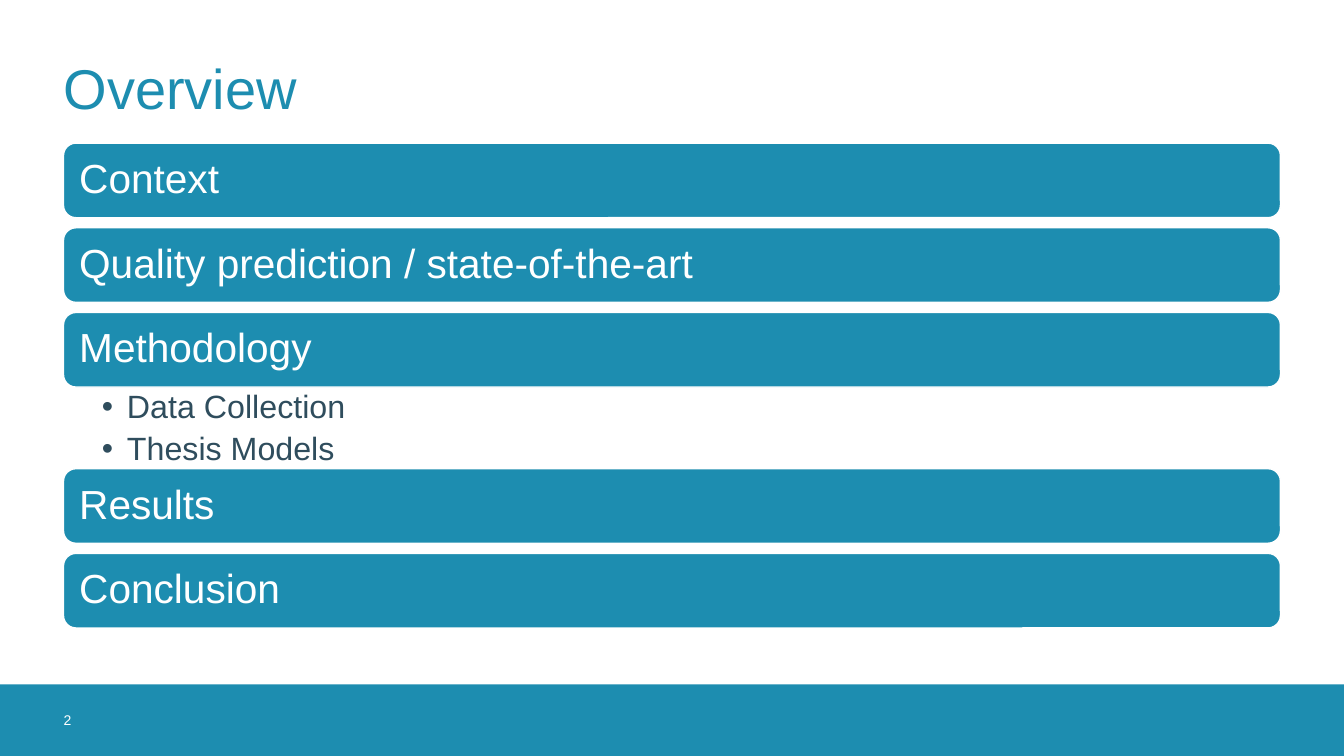
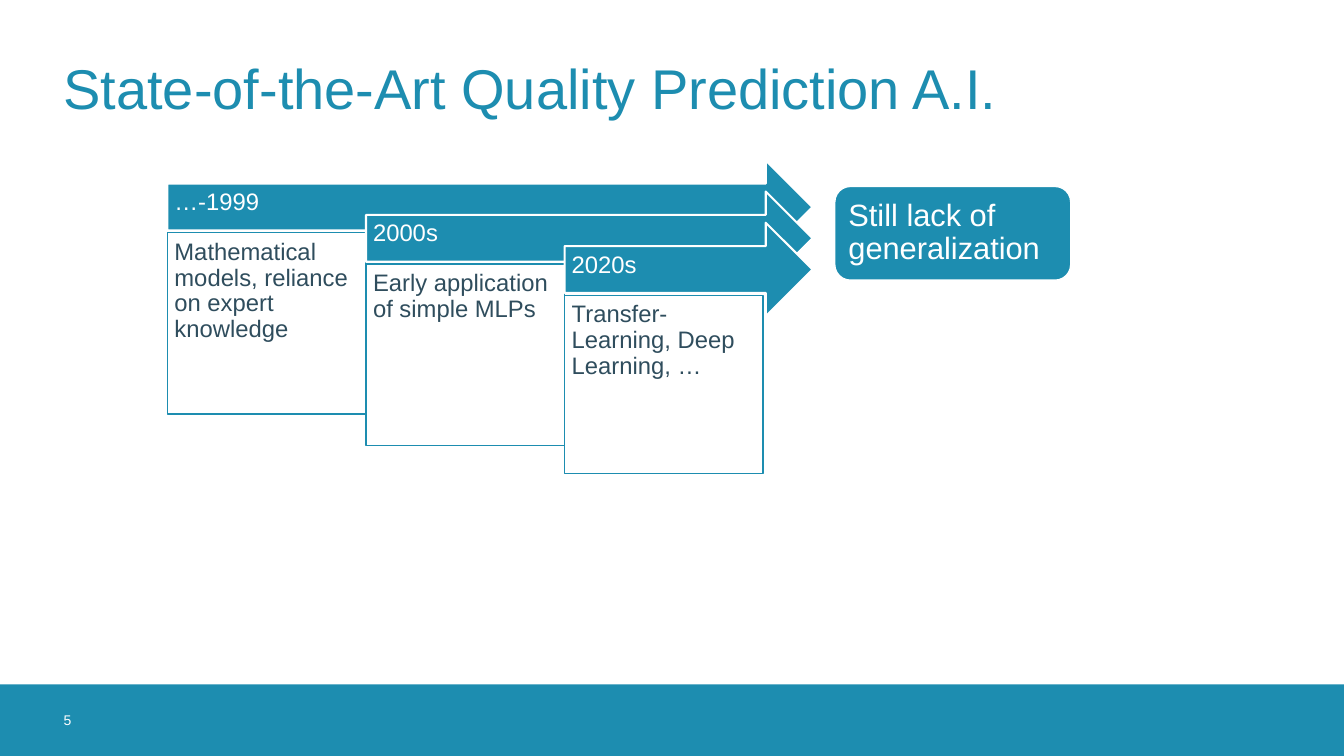
from dataclasses import dataclass

import pptx
import pptx.dml.color
import pptx.enum.shapes
import pptx.enum.text
import pptx.oxml
import pptx.oxml.ns
import pptx.presentation
import pptx.shapes.autoshape
import pptx.slide
import pptx.util
from pptx.dml.color import RGBColor
from pptx.enum.shapes import MSO_SHAPE
from pptx.enum.text import MSO_ANCHOR
from pptx.util import Inches

TEAL = RGBColor(0x1D, 0x8D, 0xB0)
SLATE = RGBColor(0x2F, 0x4D, 0x5D)
WHITE = RGBColor(0xFF, 0xFF, 0xFF)
FONT = "Arial"

SLIDE_WIDTH, SLIDE_HEIGHT = 13.33, 7.5
MARGIN = 0.63
CONTENT_WIDTH = 12.07
BAND_TOP, BAND_HEIGHT = 6.79, 0.71


@dataclass(frozen=True)
class Box:
    """A rectangle in inches."""

    left: float
    top: float
    width: float
    height: float

    def lengths(self) -> list[pptx.util.Length]:
        return [Inches(value) for value in (self.left, self.top, self.width, self.height)]


@dataclass(frozen=True)
class TextStyle:
    """Text look; insets are left, top, right, bottom in inches."""

    size: float
    color: RGBColor
    insets: tuple[float, float, float, float] = (0, 0, 0, 0)
    anchor: MSO_ANCHOR = MSO_ANCHOR.MIDDLE
    line_spacing: float = 0.9
    space_after: float = 0
    bulleted: bool = False


@dataclass(frozen=True)
class Topic:
    title: str
    details: tuple[str, ...] = ()


@dataclass(frozen=True)
class Era:
    period: str
    approach: str
    box_height: float = 1.8


TITLE = TextStyle(40, TEAL, line_spacing=1)
PAGE_NUMBER = TextStyle(10, WHITE, line_spacing=1)
TOPIC = TextStyle(29, WHITE, (0.12,) * 4)
TOPIC_DETAIL = TextStyle(23, SLATE, (0.38, 0.04, 0.23, 0.04), MSO_ANCHOR.TOP,
                         space_after=5, bulleted=True)
PERIOD = TextStyle(17, WHITE, (0.07, 0.07, 0.04, 0.15))
APPROACH = TextStyle(17, SLATE, (0.07,) * 4, MSO_ANCHOR.TOP)
CALLOUT = TextStyle(22, WHITE, (0.09,) * 4)

TOPICS = (
    Topic("Context"),
    Topic("Quality prediction / state-of-the-art"),
    Topic("Methodology", ("Data Collection", "Thesis Models")),
    Topic("Results"),
    Topic("Conclusion"),
)
ERAS = (
    Era("…-1999", "Mathematical models, reliance on expert knowledge"),
    Era("2000s", "Early application of simple MLPs"),
    Era("2020s", "Transfer-Learning, Deep Learning, …", 1.77),
)


def add_bullet(paragraph) -> None:
    properties = paragraph._p.get_or_add_pPr()
    properties.set("marL", str(Inches(0.25)))
    properties.set("indent", str(Inches(-0.25)))
    namespace = pptx.oxml.ns.nsdecls("a")
    properties.append(pptx.oxml.parse_xml(f'<a:buFont {namespace} typeface="{FONT}"/>'))
    properties.append(pptx.oxml.parse_xml(f'<a:buChar {namespace} char="•"/>'))


def write_text(shape: pptx.shapes.autoshape.Shape, text: str, style: TextStyle) -> None:
    """Fill a shape with text, one paragraph for each line."""
    frame = shape.text_frame
    frame.text = text
    frame.word_wrap = True
    frame.auto_size = pptx.enum.text.MSO_AUTO_SIZE.NONE
    frame.vertical_anchor = style.anchor
    (frame.margin_left, frame.margin_top,
     frame.margin_right, frame.margin_bottom) = map(Inches, style.insets)
    for paragraph in frame.paragraphs:
        if style.bulleted:
            add_bullet(paragraph)
        paragraph.alignment = pptx.enum.text.PP_ALIGN.LEFT
        paragraph.line_spacing = style.line_spacing
        paragraph.space_after = pptx.util.Pt(style.space_after)
        for run in paragraph.runs:
            run.font.name = FONT
            run.font.size = pptx.util.Pt(style.size)
            run.font.color.rgb = style.color


def add_text(slide: pptx.slide.Slide, box: Box, text: str, style: TextStyle) -> None:
    write_text(slide.shapes.add_textbox(*box.lengths()), text, style)


def add_panel(slide: pptx.slide.Slide, kind: MSO_SHAPE, box: Box, text: str,
              style: TextStyle, fill: RGBColor = TEAL, line: RGBColor = WHITE,
              line_width: float = 1) -> None:
    shape = slide.shapes.add_shape(kind, *box.lengths())
    shape.shadow.inherit = False
    shape.fill.solid()
    shape.fill.fore_color.rgb = fill
    shape.line.color.rgb = line
    shape.line.width = pptx.util.Pt(line_width)
    write_text(shape, text, style)


def add_base_slide(presentation: pptx.presentation.Presentation, title: str,
                   number: int) -> pptx.slide.Slide:
    """Add a slide with its title, footer band and page number."""
    slide = presentation.slides.add_slide(presentation.slide_layouts.get_by_name("Title Only"))
    heading = slide.shapes.title
    heading.left, heading.top, heading.width, heading.height = Box(
        MARGIN, 0.23, CONTENT_WIDTH, 1.26).lengths()
    write_text(heading, title, TITLE)

    band = slide.shapes.add_shape(
        MSO_SHAPE.RECTANGLE, *Box(0, BAND_TOP, SLIDE_WIDTH, BAND_HEIGHT).lengths())
    band.shadow.inherit = False
    band.fill.solid()
    band.fill.fore_color.rgb = TEAL
    band.line.fill.background()
    add_text(slide, Box(MARGIN, BAND_TOP, 0.71, BAND_HEIGHT), str(number), PAGE_NUMBER)
    return slide


def build_overview(presentation: pptx.presentation.Presentation) -> None:
    slide = add_base_slide(presentation, "Overview", 2)
    bar_height, gap, details_height = 0.74, 0.1, 0.81
    top = 1.42
    for topic in TOPICS:
        add_panel(slide, MSO_SHAPE.ROUNDED_RECTANGLE,
                  Box(MARGIN, top, CONTENT_WIDTH, bar_height), topic.title, TOPIC)
        top += bar_height
        if topic.details:
            add_text(slide, Box(MARGIN, top, CONTENT_WIDTH, details_height),
                     "\n".join(topic.details), TOPIC_DETAIL)
            top += details_height
        else:
            top += gap


def build_state_of_the_art(presentation: pptx.presentation.Presentation) -> None:
    slide = add_base_slide(presentation, "State-of-the-Art Quality Prediction A.I.", 5)
    add_panel(slide, MSO_SHAPE.ROUNDED_RECTANGLE, Box(8.28, 1.85, 2.34, 0.93),
              "Still lack of generalization", CALLOUT)

    arrow_tip, arrow_height = 8.06, 0.93
    column_width, step_down, approach_offset = 1.97, 0.31, 0.72
    for index, era in enumerate(ERAS):
        left = 1.66 + index * column_width
        top = 1.59 + index * step_down
        add_panel(slide, MSO_SHAPE.RIGHT_ARROW,
                  Box(left, top, arrow_tip - left, arrow_height),
                  era.period, PERIOD, line_width=1.5)
        add_panel(slide, MSO_SHAPE.RECTANGLE,
                  Box(left, top + approach_offset, column_width, era.box_height),
                  era.approach, APPROACH, fill=WHITE, line=TEAL)


def main() -> None:
    presentation = pptx.Presentation()
    presentation.slide_width = Inches(SLIDE_WIDTH)
    presentation.slide_height = Inches(SLIDE_HEIGHT)
    build_overview(presentation)
    build_state_of_the_art(presentation)
    presentation.save("out.pptx")


if __name__ == "__main__":
    main()
